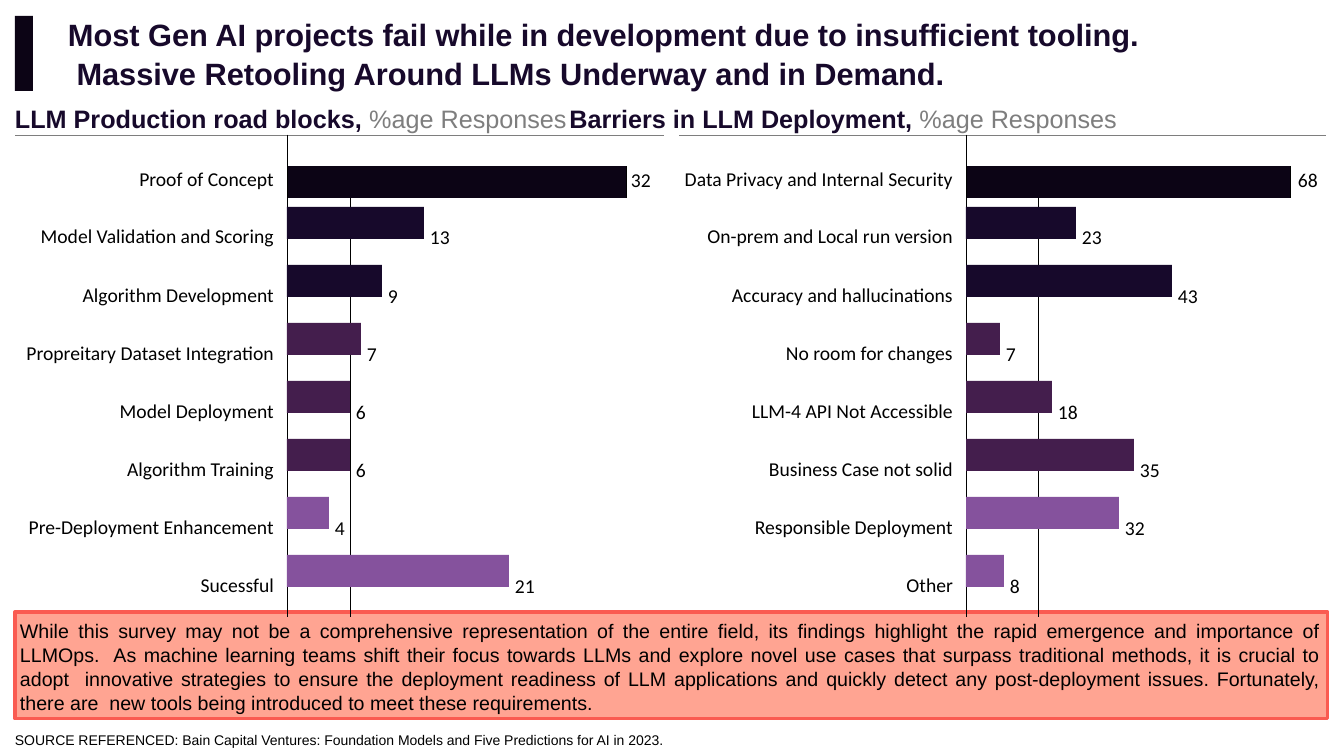
from itertools import accumulate
from lxml.etree import SubElement
from pptx import Presentation
from pptx.dml.color import RGBColor
from pptx.enum.shapes import MSO_SHAPE as Shape
from pptx.enum.text import MSO_ANCHOR as Anchor, MSO_AUTO_SIZE as AutoSize, PP_ALIGN as Align
from pptx.oxml.ns import qn
from pptx.util import Pt

COLORS = {
    "black": "000000", "ink": "0C0415", "navy": "17092B", "plum": "441E4D",
    "lilac": "85529D", "gray": "7E7E7E", "salmon": "FFA492", "red": "FA5B51",
}
TITLE = [
    "Most Gen AI projects fail while in development due to insufficient tooling.",
    " Massive Retooling Around LLMs Underway and in Demand.",
]
HEADINGS = [
    ("LLM Production road blocks, ", "navy", True),
    ("%age Responses\t", "gray", False),
    ("Barriers in LLM Deployment, ", "navy", True),
    ("%age Responses", "gray", False),
]
NOTE = (
    "While this survey may not be a comprehensive representation of the entire field, "
    "its findings highlight the rapid emergence and importance of LLMOps.  As machine "
    "learning teams shift their focus towards LLMs and explore novel use cases that "
    "surpass traditional methods, it is crucial to adopt  innovative strategies to ensure "
    "the deployment readiness of LLM applications and quickly detect any post-deployment "
    "issues. Fortunately, there are  new tools being introduced to meet these requirements."
)
SOURCE = ("SOURCE REFERENCED: Bain Capital Ventures: Foundation Models and "
          "Five Predictions for AI in 2023.")
PANELS = [
    {
        "left": 15, "unit": 10.57, "cols": [272, 64, 16, 16, 32, 69, 143, 37],
        "data": [
            ("Proof of Concept", 32), ("Model Validation and Scoring", 13),
            ("Algorithm Development", 9), ("Propreitary Dataset Integration", 7),
            ("Model Deployment", 6), ("Algorithm Training", 6),
            ("Pre-Deployment Enhancement", 4), ("Sucessful", 21),
        ],
    },
    {
        "left": 679, "unit": 4.79, "cols": [287, 73, 41, 33, 55, 123, 35],
        "data": [
            ("Data Privacy and Internal Security", 68), ("On-prem and Local run version", 23),
            ("Accuracy and hallucinations", 43), ("No room for changes", 7),
            ("LLM-4 API Not Accessible", 18), ("Business Case not solid", 35),
            ("Responsible Deployment", 32), ("Other", 8),
        ],
    },
]
BAR_COLORS = ["ink", "navy", "navy", "plum", "plum", "plum", "lilac", "lilac"]
ROWS = [31, 32, 72, 58, 58, 58, 58, 58, 57]
TEXT_TOPS = [2, 27] + [14] * 6
TABLE_TOP, BAR_TOP, BAR_STEP, BAR_HEIGHT, VALUE_GAP = 135, 207, 58, 32, 6
NO_STYLE = "{2D5ABB26-0587-4C30-8999-92F81FD0307C}"


def px(n):
    return round(n * 914400 / 100.8)


def rgb(name):
    return RGBColor.from_string(COLORS[name])


def add_run(p, text, size, color="black", bold=False, font="Arial"):
    r = p.add_run()
    r.text = text
    r.font.size, r.font.name, r.font.bold = Pt(size), font, bold
    r.font.color.rgb = rgb(color)


def place(sp, left, top, width, height):
    sp.left, sp.top, sp.width, sp.height = px(left), px(top), px(width), px(height)


def set_frame(tf, left, top, right=0):
    tf.word_wrap, tf.auto_size, tf.vertical_anchor = True, AutoSize.NONE, Anchor.TOP
    tf.margin_left, tf.margin_top = px(left), px(top)
    tf.margin_right, tf.margin_bottom = px(right), 0
    return tf.paragraphs[0]


def add_text(s, left, top, width, height):
    sp = s.shapes.add_textbox(px(left), px(top), px(width), px(height))
    return set_frame(sp.text_frame, 1, 1)


def add_rect(s, left, top, width, height, color):
    sp = s.shapes.add_shape(Shape.RECTANGLE, px(left), px(top), px(width), px(height))
    sp.shadow.inherit = False
    sp.fill.solid()
    sp.fill.fore_color.rgb = rgb(color)
    sp.line.fill.background()
    return sp


def set_borders(cell, borders):
    tc_pr = cell._tc.get_or_add_tcPr()
    for i, (side, color) in enumerate(borders):
        ln = SubElement(tc_pr, qn("a:" + side), w=str(Pt(0.75)))
        fill = SubElement(ln, qn("a:solidFill"))
        SubElement(fill, qn("a:srgbClr"), val=COLORS[color])
        tc_pr.insert(i, ln)


def fill_cell(cell, text, left, top, right=0, align=Align.LEFT):
    cell.margin_left, cell.margin_top, cell.margin_right = px(left), px(top), px(right)
    p = cell.text_frame.paragraphs[0]
    p.alignment = align
    add_run(p, text, 14, font="Calibri")


def add_panel(s, left, unit, cols, data):
    frame = s.shapes.add_table(len(ROWS), len(cols), px(left), px(TABLE_TOP),
                               px(sum(cols)), px(sum(ROWS)))
    table = frame.table
    table.first_row = table.horz_banding = False
    table._tbl.tblPr[0].text = NO_STYLE
    for col, width in zip(table.columns, cols):
        col.width = px(width)
    for row, height in zip(table.rows, ROWS):
        row.height = px(height)

    last = len(cols) - 1
    table.cell(0, 1).merge(table.cell(0, last))
    table.cell(1, 1).merge(table.cell(1, last - 1))
    for i in range(len(ROWS)):
        for j in range(len(cols)):
            cell = table.cell(i, j)
            cell.margin_left = cell.margin_right = cell.margin_top = cell.margin_bottom = 0
            cell.fill.background()
            sides = [("lnL", "black")] if j == 1 else []
            sides += [("lnR", "black")] if j == 0 else []
            sides += [("lnT", "gray")] if i == 0 else []
            set_borders(cell, sides)

    first_bar = table.cell(1, 1)
    first_bar.fill.solid()
    first_bar.fill.fore_color.rgb = rgb(BAR_COLORS[0])

    starts = list(accumulate(cols, initial=left))[:-1]
    axis = starts[1]
    for i, ((label, value), top) in enumerate(zip(data, TEXT_TOPS)):
        width = round(value * unit)
        value_x = axis + width + VALUE_GAP
        j = max(k for k, x in enumerate(starts) if x <= value_x)
        fill_cell(table.cell(i + 1, 0), label, 0, top, 13, Align.RIGHT)
        fill_cell(table.cell(i + 1, j), str(value), value_x - starts[j], top + 1)
        if i:
            add_rect(s, axis, BAR_TOP + (i - 1) * BAR_STEP, width, BAR_HEIGHT, BAR_COLORS[i])


def main():
    prs = Presentation()
    prs.slide_width, prs.slide_height = px(1344), px(756)
    s = prs.slides.add_slide(prs.slide_layouts[5])

    title = s.shapes.title
    place(title, 67, 13, 1081, 77)
    p = set_frame(title.text_frame, 1, 1)
    p.alignment, p.line_spacing = Align.LEFT, 1.05
    add_run(p, TITLE[0], 22, "navy", True)
    p.add_line_break()
    add_run(p, TITLE[1], 22, "navy", True)
    add_rect(s, 15, 16, 18, 75, "ink")

    note = add_rect(s, 15, 612, 1313, 107, "salmon")
    note.line.color.rgb = rgb("red")
    note.line.width = Pt(2.25)
    p = set_frame(note.text_frame, 5, 6, 7)
    p.alignment, p.line_spacing = Align.JUSTIFY, 1.03
    add_run(p, NOTE, 14)

    for panel in PANELS:
        add_panel(s, **panel)

    p = add_text(s, 14, 102, 1215, 33)
    for text, color, bold in HEADINGS:
        add_run(p, text, 18, color, bold)
    add_run(add_text(s, 14, 730, 651, 19), SOURCE, 10)

    prs.save("out.pptx")


if __name__ == "__main__":
    main()
